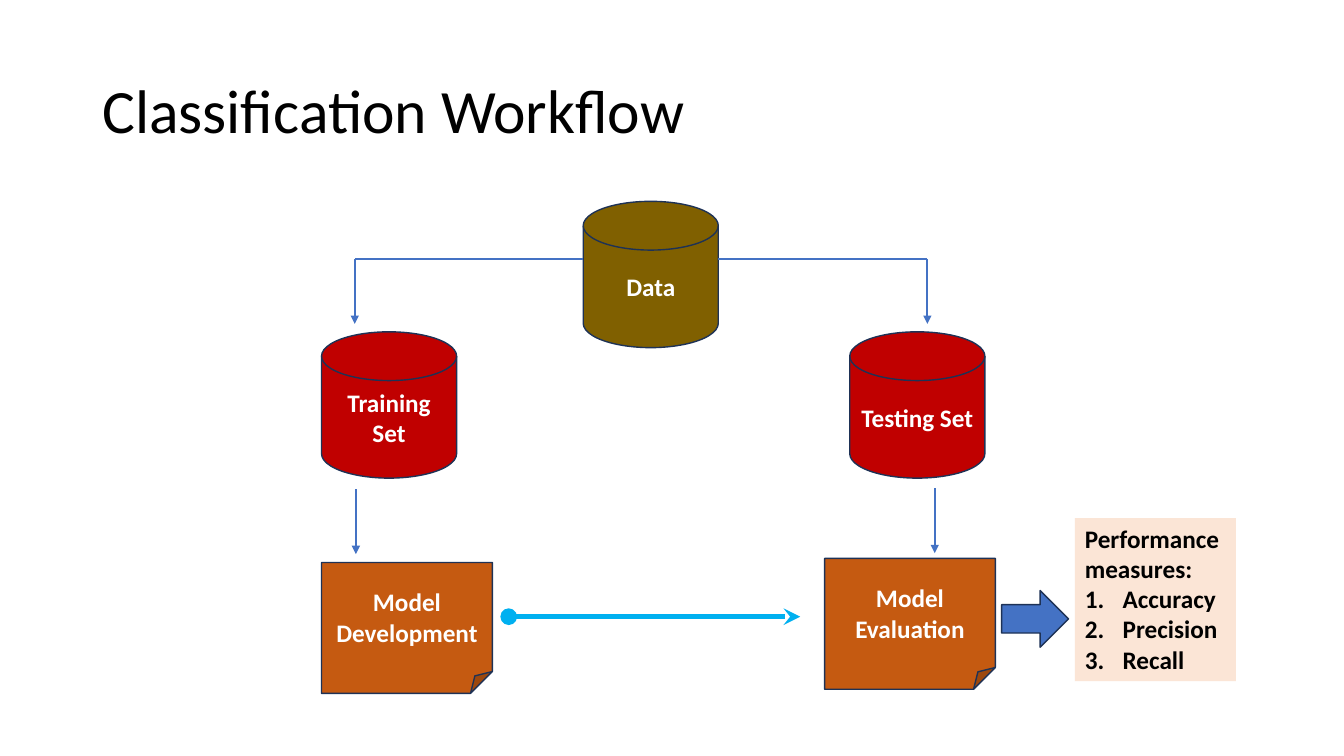
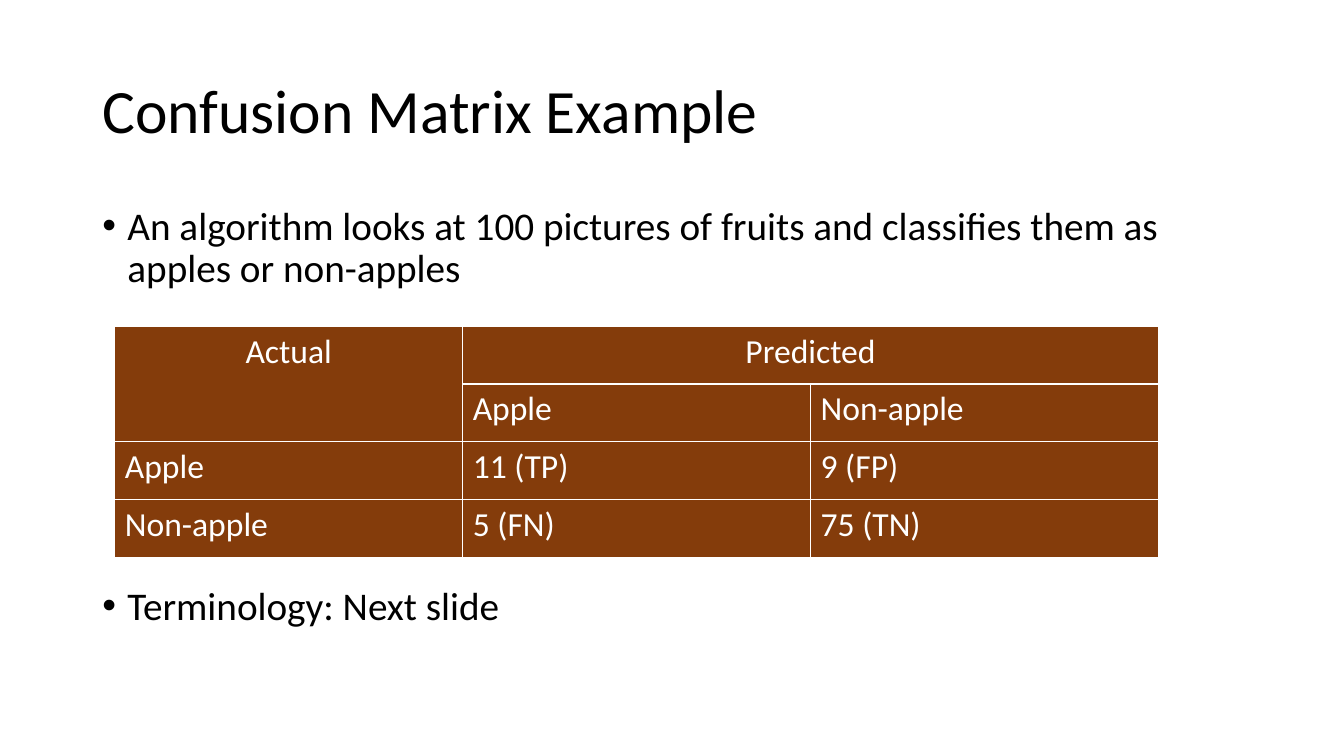
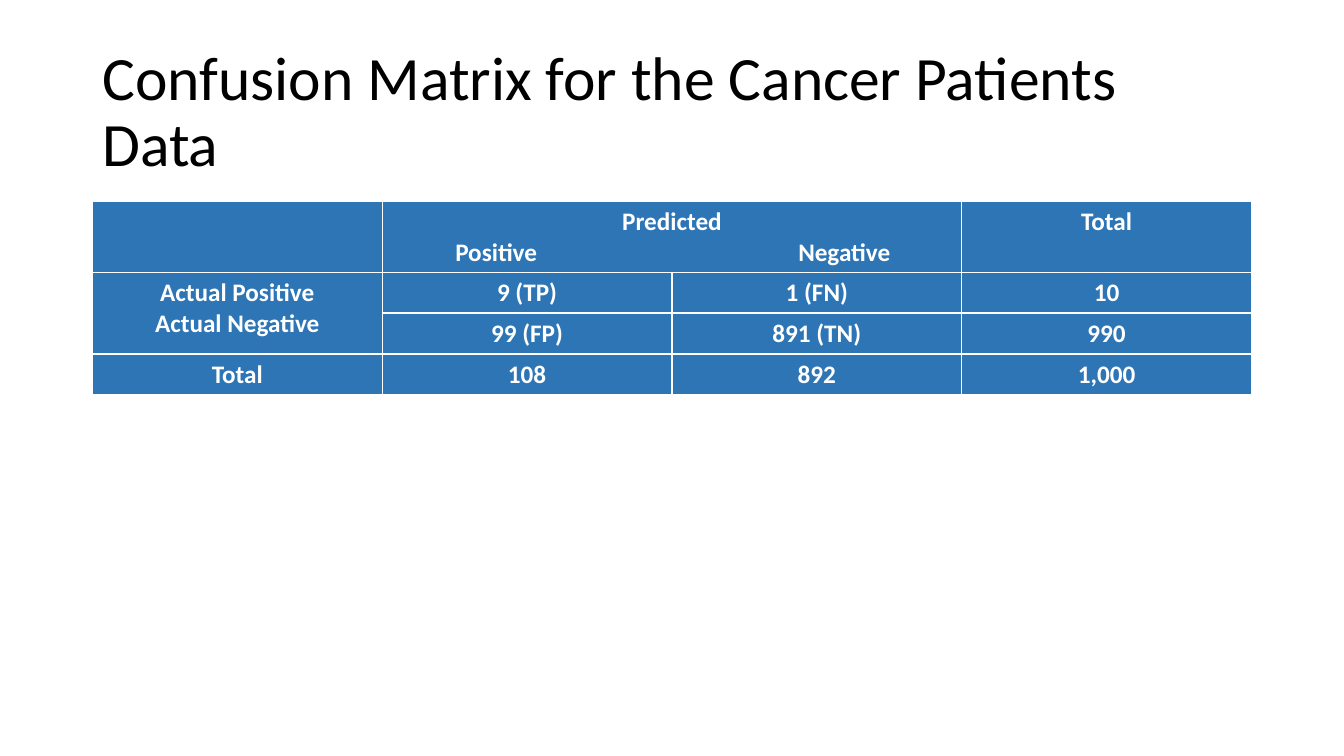
"""Build three slides on classification workflow and confusion matrices."""
from lxml import etree
from pptx import Presentation
from pptx.dml.color import RGBColor
from pptx.enum import shapes, text
from pptx.oxml import ns
from pptx.util import Pt

COLORS = {
    "black": "000000", "white": "FFFFFF", "outline": "1E3256",
    "data": "806000", "subset": "C00000", "model": "C55A11",
    "measures": "FBE5D6", "flow": "4472C4", "handover": "00B0F0",
    "fruit": "843C0B", "cancer": "2E75B6",
}
RGB = {name: RGBColor.from_string(value) for name, value in COLORS.items()}
FONT = "Calibri"
MARGIN, CONTENT_WIDTH = 66, 828
CENTER = text.PP_ALIGN.CENTER
LEFT = text.PP_ALIGN.LEFT


def write(paragraph, words, size, color, bold=False, align=LEFT):
    run = paragraph.add_run()
    run.text = words
    run.font.name = FONT
    run.font.size = Pt(size)
    run.font.bold = bold
    run.font.color.rgb = RGB[color]
    paragraph.alignment = align


def add_matrix(slide, left, top, column_width, heights, rows, merges, fill, size, bold):
    columns = len(rows[0])
    matrix = slide.shapes.add_table(
        len(rows), columns, Pt(left), Pt(top),
        Pt(column_width * columns), Pt(sum(heights))).table
    matrix.first_row = matrix.horz_banding = False
    for column in matrix.columns:
        column.width = Pt(column_width)
    for r, (height, row) in enumerate(zip(heights, rows)):
        matrix.rows[r].height = Pt(height)
        for c, (words, align) in enumerate(row):
            cell = matrix.cell(r, c)
            properties = cell._tc.get_or_add_tcPr()
            for side in ("a:lnL", "a:lnR", "a:lnT", "a:lnB"):
                border = etree.SubElement(properties, ns.qn(side), w=str(Pt(1)))
                solid = etree.SubElement(border, ns.qn("a:solidFill"))
                etree.SubElement(solid, ns.qn("a:srgbClr"), val=COLORS["white"])
            cell.fill.solid()
            cell.fill.fore_color.rgb = RGB[fill]
            for i, line in enumerate(words.split("\n") if words else []):
                frame = cell.text_frame
                paragraph = frame.add_paragraph() if i else frame.paragraphs[0]
                write(paragraph, line, size, "white", bold, LEFT if "\t" in line else align)
    for first, last in merges:
        matrix.cell(*first).merge(matrix.cell(*last))
    return matrix


deck = Presentation()
deck.slide_width, deck.slide_height = Pt(960), Pt(540)

slides = []
for heading in ("Classification Workflow", "Confusion Matrix Example",
                "Confusion Matrix for the Cancer Patients Data"):
    slide = deck.slides.add_slide(deck.slide_layouts[6])
    title = slide.shapes.add_textbox(
        Pt(MARGIN), Pt(28.75), Pt(CONTENT_WIDTH), Pt(104.4)).text_frame
    title.word_wrap = True
    title.vertical_anchor = text.MSO_ANCHOR.MIDDLE
    title.paragraphs[0].line_spacing = 0.9
    write(title.paragraphs[0], heading, 44, "black")
    slides.append(slide)
workflow, fruits, cancer = slides

DISK = shapes.MSO_SHAPE.FLOWCHART_MAGNETIC_DISK
NOTE = shapes.MSO_SHAPE.FOLDED_CORNER
ARROW = shapes.MSO_SHAPE.RIGHT_ARROW
for kind, words, fill, left, top, width, height in (
        (DISK, "Data", "data", 416.6, 143.8, 96.5, 104.5),
        (DISK, "Training Set", "subset", 229.7, 237, 96.5, 104.5),
        (DISK, "Testing Set", "subset", 607, 237, 96.5, 104.5),
        (NOTE, "Model Development", "model", 229.7, 401.8, 122, 93.5),
        (NOTE, "Model Evaluation", "model", 589, 398.9, 122, 93.5),
        (ARROW, "", "flow", 715.5, 421.8, 47.8, 40.5)):
    step = workflow.shapes.add_shape(kind, Pt(left), Pt(top), Pt(width), Pt(height))
    step.shadow.inherit = False
    step.fill.solid()
    step.fill.fore_color.rgb = RGB[fill]
    step.line.color.rgb = RGB["outline"]
    step.line.width = Pt(1)
    if words:
        step.text_frame.word_wrap = True
        step.text_frame.vertical_anchor = text.MSO_ANCHOR.MIDDLE
        write(step.text_frame.paragraphs[0], words, 18, "white", True, CENTER)

measures = workflow.shapes.add_textbox(Pt(767.8), Pt(370), Pt(115), Pt(116.6))
measures.fill.solid()
measures.fill.fore_color.rgb = RGB["measures"]
measures.text_frame.word_wrap = True
write(measures.text_frame.paragraphs[0], "Performance measures:", 18, "black", True)
for measure in ("Accuracy", "Precision", "Recall"):
    item = measures.text_frame.add_paragraph()
    write(item, measure, 18, "black", True)
    numbering = item._p.get_or_add_pPr()
    numbering.set("marL", str(Pt(27)))
    numbering.set("indent", str(Pt(-27)))
    etree.SubElement(numbering, ns.qn("a:buAutoNum"), type="arabicPeriod")

for x1, y1, x2, y2, color, weight, ends in (
        (416.6, 185, 253.4, 185, "flow", 1.25, {}),
        (662.4, 185, 513, 185, "flow", 1.25, {}),
        (662.4, 185, 662.4, 231.4, "flow", 1.5, {"a:tailEnd": "triangle"}),
        (253.4, 185, 253.4, 231.4, "flow", 1.5, {"a:tailEnd": "triangle"}),
        (254.2, 349.4, 254.2, 395.8, "flow", 1.5, {"a:tailEnd": "triangle"}),
        (667.7, 348.7, 667.7, 395.1, "flow", 1.5, {"a:tailEnd": "triangle"}),
        (571.6, 440.5, 363.4, 440.5, "handover", 4,
         {"a:headEnd": "stealth", "a:tailEnd": "oval"})):
    link = workflow.shapes.add_connector(
        shapes.MSO_CONNECTOR.STRAIGHT, Pt(x1), Pt(y1), Pt(x2), Pt(y2))
    link.line.color.rgb = RGB[color]
    link.line.width = Pt(weight)
    outline = link._element.spPr.find(ns.qn("a:ln"))
    for end, style in ends.items():
        etree.SubElement(outline, ns.qn(end), type=style)
    etree.SubElement(link._element.spPr, ns.qn("a:effectLst"))

points = fruits.shapes.add_textbox(
    Pt(MARGIN), Pt(143.75), Pt(CONTENT_WIDTH), Pt(342.6)).text_frame
points.word_wrap = True
for i, (words, gap) in enumerate((
        ("An algorithm looks at 100 pictures of fruits and classifies them as apples or non-apples", 10),
        ("Terminology: Next slide", 211))):
    point = points.add_paragraph() if i else points.paragraphs[0]
    point.line_spacing = 0.9
    point.space_before = Pt(gap)
    write(point, words, 28, "black")
    bullet = point._p.get_or_add_pPr()
    bullet.set("marL", str(Pt(18)))
    bullet.set("indent", str(Pt(-18)))
    etree.SubElement(bullet, ns.qn("a:buFont"), typeface="Arial")
    etree.SubElement(bullet, ns.qn("a:buChar"), char="•")

fruit_rows = [
    [("Actual", CENTER), ("Predicted", CENTER), ("", LEFT)],
    [("", LEFT), ("Apple", LEFT), ("Non-apple", LEFT)],
    [("Apple", LEFT), ("11 (TP)", LEFT), ("9 (FP)", LEFT)],
    [("Non-apple", LEFT), ("5 (FN)", LEFT), ("75 (TN)", LEFT)],
]
add_matrix(fruits, 82, 233, 248.5, [41.25] * 4, fruit_rows,
           [((0, 0), (1, 0)), ((0, 1), (0, 2))], "fruit", 24, False)

cancer_rows = [[(words, CENTER) for words in row] for row in (
    ("", "Predicted\n\tPositive\tNegative", "", "Total"),
    ("Actual Positive\nActual Negative", "9 (TP)", "1 (FN)", "10"),
    ("", "99 (FP)", "891 (TN)", "990"),
    ("Total", "108", "892", "1,000"))]
patients = add_matrix(cancer, MARGIN, 144, 207, [50.4] + [29.2] * 3, cancer_rows,
                      [((0, 1), (0, 2)), ((1, 0), (2, 0))], "cancer", 18, True)
outcomes = patients.cell(0, 1).text_frame.paragraphs[1]._p.get_or_add_pPr()
stops = etree.SubElement(outcomes, ns.qn("a:tabLst"))
for position in (45, 290):
    etree.SubElement(stops, ns.qn("a:tab"), pos=str(Pt(position)), algn="l")

deck.save("out.pptx")
